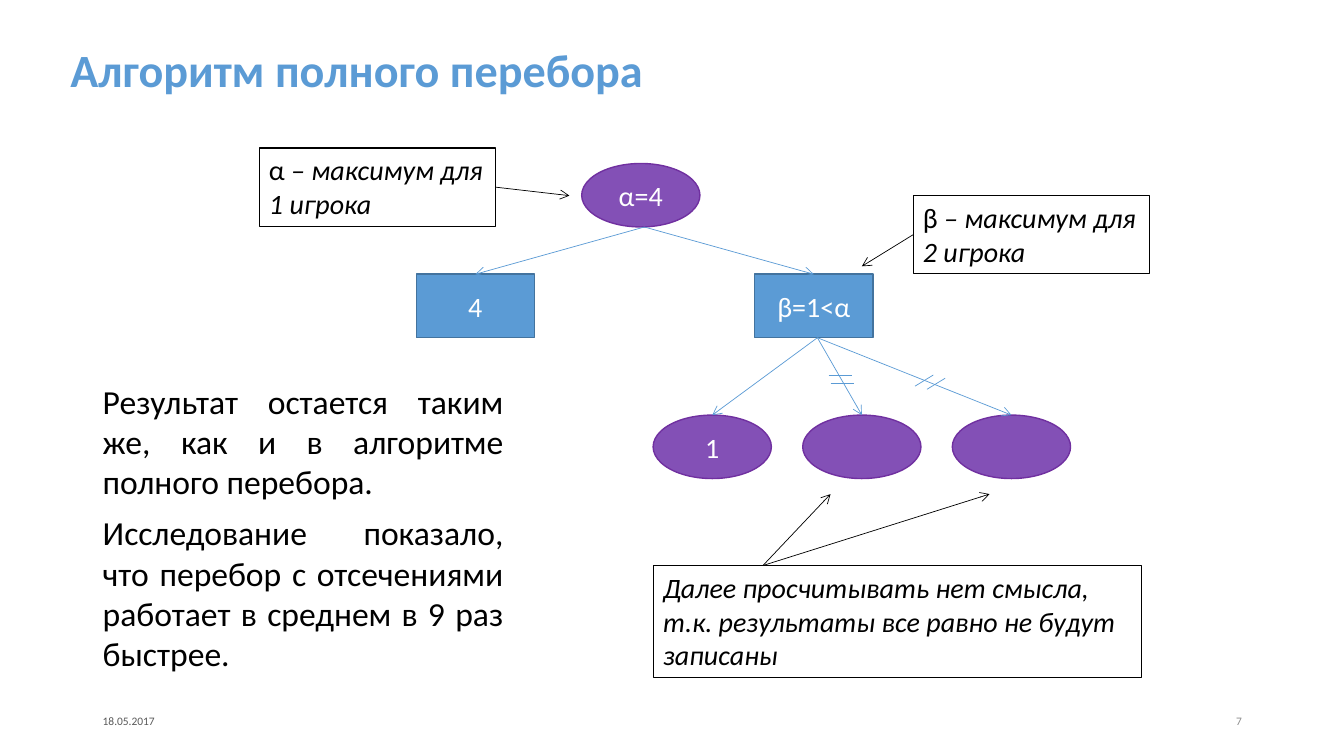
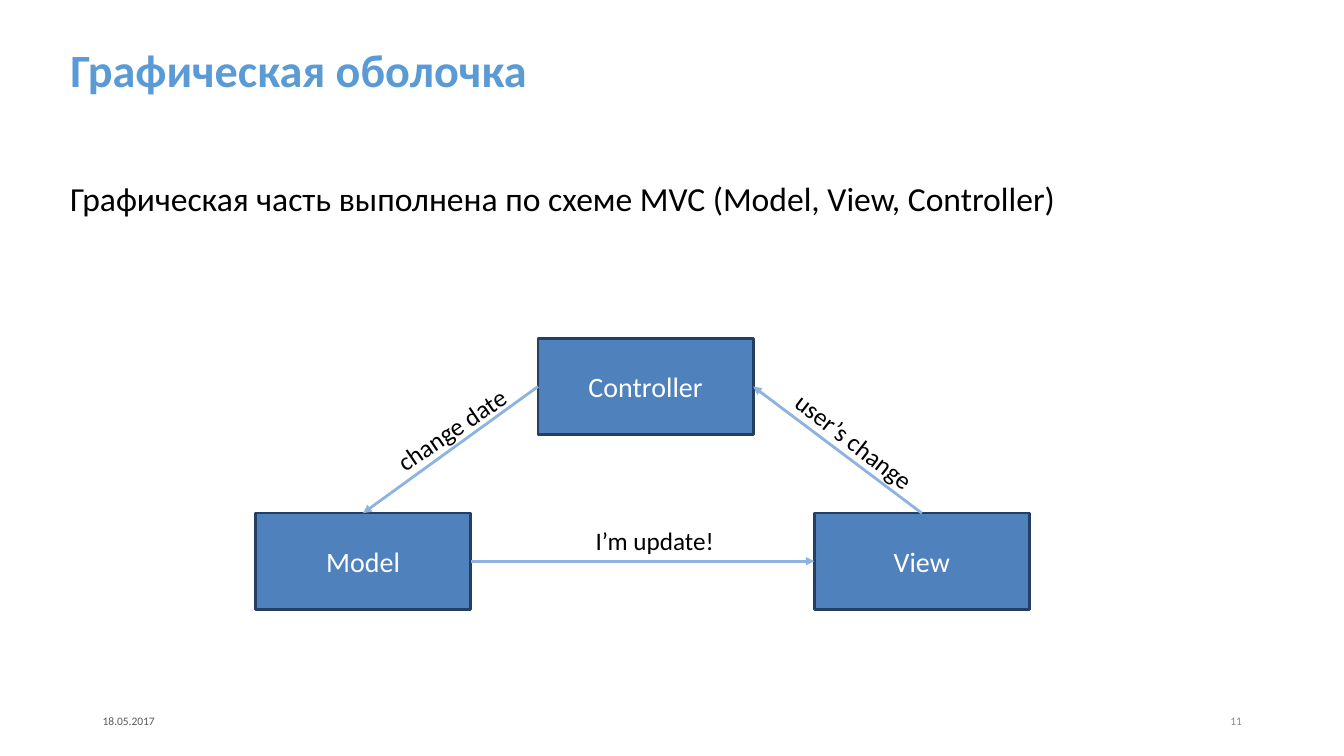
from lxml import etree
from pptx import Presentation
from pptx.dml.color import RGBColor
from pptx.enum.shapes import MSO_CONNECTOR, MSO_SHAPE
from pptx.enum.text import MSO_ANCHOR, PP_ALIGN
from pptx.oxml.ns import qn
from pptx.util import Cm, Pt

STRAIGHT = MSO_CONNECTOR.STRAIGHT
ELLIPSE, RECT, PROCESS = MSO_SHAPE.OVAL, MSO_SHAPE.RECTANGLE, MSO_SHAPE.FLOWCHART_PROCESS
TOP, MIDDLE = MSO_ANCHOR.TOP, MSO_ANCHOR.MIDDLE
LEFT, CENTER, RIGHT, JUSTIFY = PP_ALIGN.LEFT, PP_ALIGN.CENTER, PP_ALIGN.RIGHT, PP_ALIGN.JUSTIFY

COLORS = {
    "accent": "5B9BD5", "accent_edge": "43739E",
    "purple": "8350B6", "purple_edge": "7030A0",
    "mvc": "4F81BD", "mvc_edge": "243F60", "mvc_arrow": "8DB3E2",
    "black": "000000", "white": "FFFFFF", "date": "595959", "number": "8C8C8C",
}
TEXT_STYLES = {
    "title": ("accent", {"size": Pt(33), "bold": True}),
    "body": ("black", {"size": Pt(24)}),
    "node": ("white", {"size": Pt(20)}),
    "callout": ("black", {"size": Pt(20)}),
    "caption": ("black", {"size": Pt(18)}),
    "date": ("date", {"size": Pt(8.2)}),
    "number": ("number", {"size": Pt(8.2)}),
}
SHAPE_STYLES = {
    "player": (ELLIPSE, "purple", "purple_edge", 1),
    "opponent": (RECT, "accent", "accent_edge", 1),
    "callout": (RECT, None, "black", 0.75),
    "mvc": (PROCESS, "mvc", "mvc_edge", 2),
}
LINE_STYLES = {
    "branch": ("accent", 0.5, "arrow"),
    "cut": ("accent", 0.5, None),
    "pointer": ("black", 0.5, "arrow"),
    "mvc": ("mvc_arrow", 2, "triangle"),
}
NODE_SIZE = (2.98, 1.6)
CALLOUT_SIZE = (5.95, 1.97)
MVC_SIZE = (5.42, 2.42)


def rgb(name):
    """Return a palette colour."""
    return RGBColor.from_string(COLORS[name])


def set_format(target, values):
    """Set every attribute listed in values on target."""
    for attribute, value in values.items():
        setattr(target, attribute, value)


def write(frame, runs, style, align=LEFT, anchor=TOP, wrap=True):
    """Fill a text frame with one paragraph of (text, italic) runs."""
    set_format(frame, {"word_wrap": wrap, "vertical_anchor": anchor})
    paragraph = frame.paragraphs[0]
    paragraph.alignment = align
    color, font_values = TEXT_STYLES[style]
    for text, italic in runs:
        run = paragraph.add_run()
        run.text = text
        set_format(run.font, {"name": "Calibri", "italic": italic, **font_values})
        run.font.color.rgb = rgb(color)


def add_label(slide, text, box, style, rotation=0, **layout):
    """Add a text box of one paragraph."""
    label = slide.shapes.add_textbox(*map(Cm, box))
    label.rotation = rotation
    write(label.text_frame, [(text, False)], style, **layout)


def add_box(slide, position, size, style):
    """Add a styled shape without a shadow."""
    preset, fill, edge, width = SHAPE_STYLES[style]
    box = slide.shapes.add_shape(preset, *map(Cm, (*position, *size)))
    box.shadow.inherit = False
    if fill:
        box.fill.solid()
        box.fill.fore_color.rgb = rgb(fill)
    else:
        box.fill.background()
    box.line.color.rgb = rgb(edge)
    box.line.width = Pt(width)
    return box


def add_node(slide, text, position, size, style):
    """Add a diagram node with an optional centred text."""
    node = add_box(slide, position, size, style)
    if text:
        write(node.text_frame, [(text, False)], "node", CENTER, MIDDLE)
    return node


def add_callout(slide, runs, position, size):
    """Add an outlined remark."""
    callout = add_box(slide, position, size, "callout")
    write(callout.text_frame, runs, "callout")
    return callout


def spot(shape, across, down):
    """Return the point at the given fractions of a shape's box, in centimetres."""
    return (shape.left.cm + across * shape.width.cm,
            shape.top.cm + down * shape.height.cm)


def add_line(slide, start, end, style):
    """Draw a straight line, with an arrowhead where its style has one."""
    color, width, head = LINE_STYLES[style]
    line = slide.shapes.add_connector(STRAIGHT, *map(Cm, (*start, *end)))
    line.line.color.rgb = rgb(color)
    line.line.width = Pt(width)
    if head:
        etree.SubElement(line.line._get_or_add_ln(), qn("a:tailEnd"), type=head)
    etree.SubElement(line._element.spPr, qn("a:effectLst"))


def add_titled_slide(deck, title, number):
    """Add a slide with the shared title and footer."""
    slide = deck.slides.add_slide(deck.slide_layouts[5])
    heading = slide.shapes.title
    set_format(heading, {"left": Cm(1.52), "top": Cm(0.33),
                         "width": Cm(23.8), "height": Cm(3)})
    write(heading.text_frame, [(title, False)], "title", anchor=MIDDLE)
    heading.text_frame.paragraphs[0].line_spacing = 0.9
    for text, left, style, align in (("18.05.2017", 2.34, "date", LEFT),
                                     (number, 23.93, "number", RIGHT)):
        add_label(slide, text, (left, 17.65, 7.62, 1.02), style,
                  align=align, anchor=MIDDLE)
    return slide


def build_search_slide(deck):
    """Build the game tree with cut-off branches."""
    slide = add_titled_slide(deck, "Алгоритм полного перебора", "7")
    for text, top, height in (
            ("Результат остается таким же, как и в алгоритме полного перебора.", 9.47, 3.32),
            ("Исследование показало, что перебор с отсечениями работает "
             "в среднем в 9 раз быстрее.", 12.78, 4.37)):
        add_label(slide, text, (2.34, top, 10.6, height), "body", align=JUSTIFY)

    root = add_node(slide, "α=4", (14.66, 4.12), NODE_SIZE, "player")
    replies = [add_node(slide, text, (left, 6.91), NODE_SIZE, "opponent")
               for text, left in (("4", 10.49), ("β=1<α", 19.02))]
    leaves = [add_node(slide, text, (16.46 + 3.77 * column, 10.46), NODE_SIZE, "player")
              for column, text in enumerate(("1", "", ""))]
    for parent, children in ((root, replies), (replies[-1], leaves)):
        for child in children:
            add_line(slide, spot(parent, 0.53, 1), spot(child, 0.5, 0), "branch")

    for (x, y), (run, rise), (shift_x, shift_y) in (
            ((20.88, 9.47), (0.58, 0), (0.05, 0.2)),
            ((23.06, 9.73), (0.46, -0.28), (0.3, 0.08))):
        for step in range(2):
            start = (x + step * shift_x, y + step * shift_y)
            add_line(slide, start, (start[0] + run, start[1] + rise), "cut")

    alpha = add_callout(slide, [("α", False), (" – максимум для 1 игрока", True)],
                        (6.53, 3.73), CALLOUT_SIZE)
    beta = add_callout(slide, [("β", False), (" – максимум для 2 игрока", True)],
                       (23.01, 4.93), CALLOUT_SIZE)
    pruned = add_callout(slide, [("Далее просчитывать нет смысла, т.к. результаты "
                                  "все равно не будут записаны", True)],
                         (16.46, 14.25), (12.3, 2.82))
    for start, end in ((spot(alpha, 1, 0.5), (14.35, 4.93)),
                       (spot(beta, 0, 0.5), (21.72, 6.71)),
                       (spot(pruned, 0.225, 0), (20.93, 12.45)),
                       (spot(pruned, 0.225, 0), (24.94, 12.45))):
        add_line(slide, start, end, "pointer")


def build_mvc_slide(deck):
    """Build the model, view and controller diagram."""
    slide = add_titled_slide(deck, "Графическая оболочка", "11")
    add_label(slide, "Графическая часть выполнена по схеме MVC (Model, View, Controller)",
              (1.52, 4.37, 25.58, 1.28), "body", wrap=False)
    model, controller, view = (
        add_node(slide, text, position, MVC_SIZE, "mvc")
        for text, position in (("Model", (6.44, 12.93)),
                               ("Controller", (13.56, 8.53)),
                               ("View", (20.52, 12.93))))
    for start, end in ((spot(model, 1, 0.5), spot(view, 0, 0.5)),
                       (spot(view, 0.5, 0), spot(controller, 1, 0.5)),
                       (spot(controller, 0, 0.5), spot(model, 0.5, 0))):
        add_line(slide, start, end, "mvc")
    for text, left, top, width, rotation, wrap in (
            ("I’m update!", 14.76, 13.11, 3.53, 0, False),
            ("user’s change", 19.3, 11.25, 6.1, 37.8, True),
            ("change date", 9.55, 10.29, 3.71, 325.8, False)):
        add_label(slide, text, (left, top, width, 1.02), "caption", rotation, wrap=wrap)


def main():
    """Build and save the presentation."""
    deck = Presentation()
    set_format(deck, {"slide_width": Cm(33.87), "slide_height": Cm(19.05)})
    build_search_slide(deck)
    build_mvc_slide(deck)
    deck.save("out.pptx")


if __name__ == "__main__":
    main()
